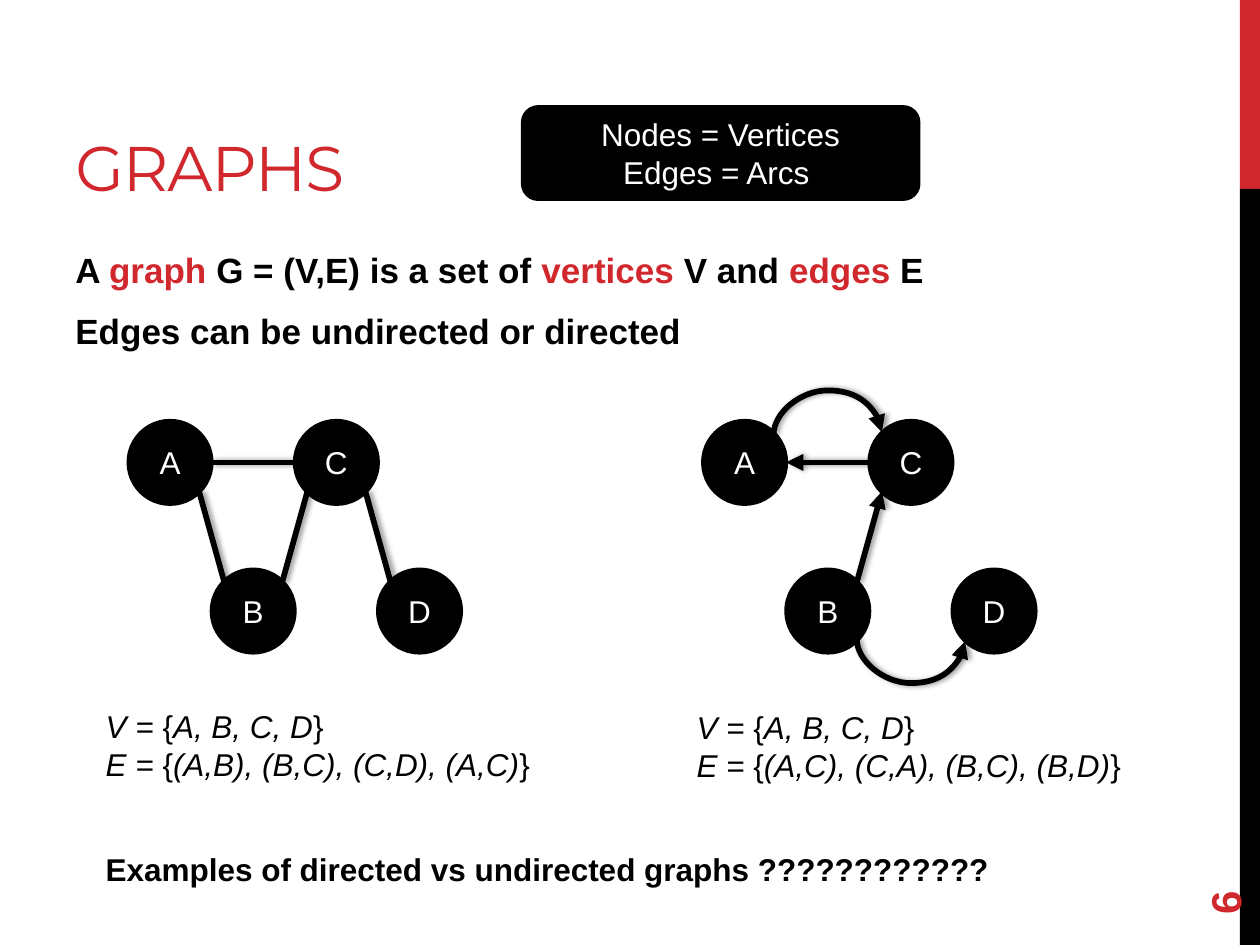
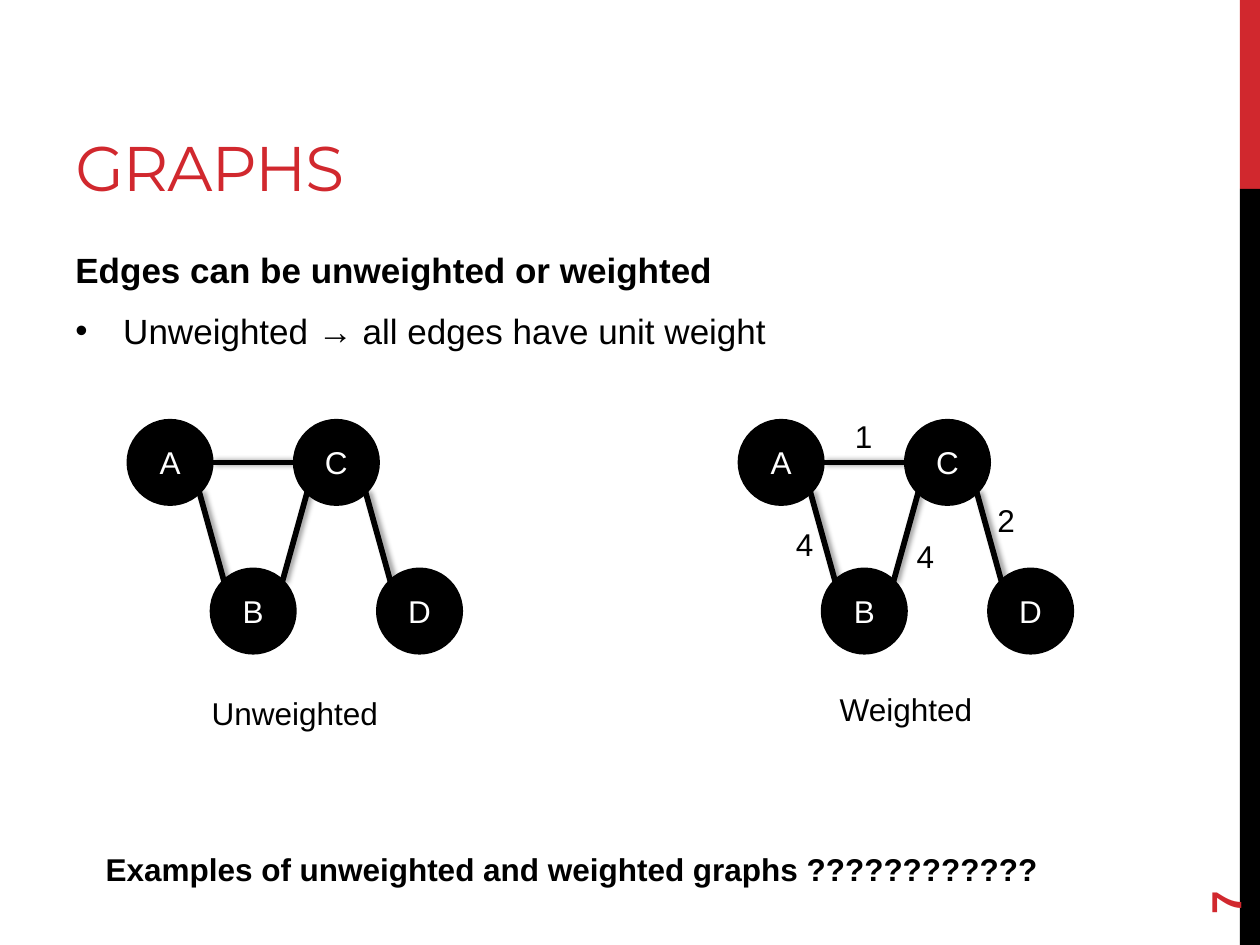
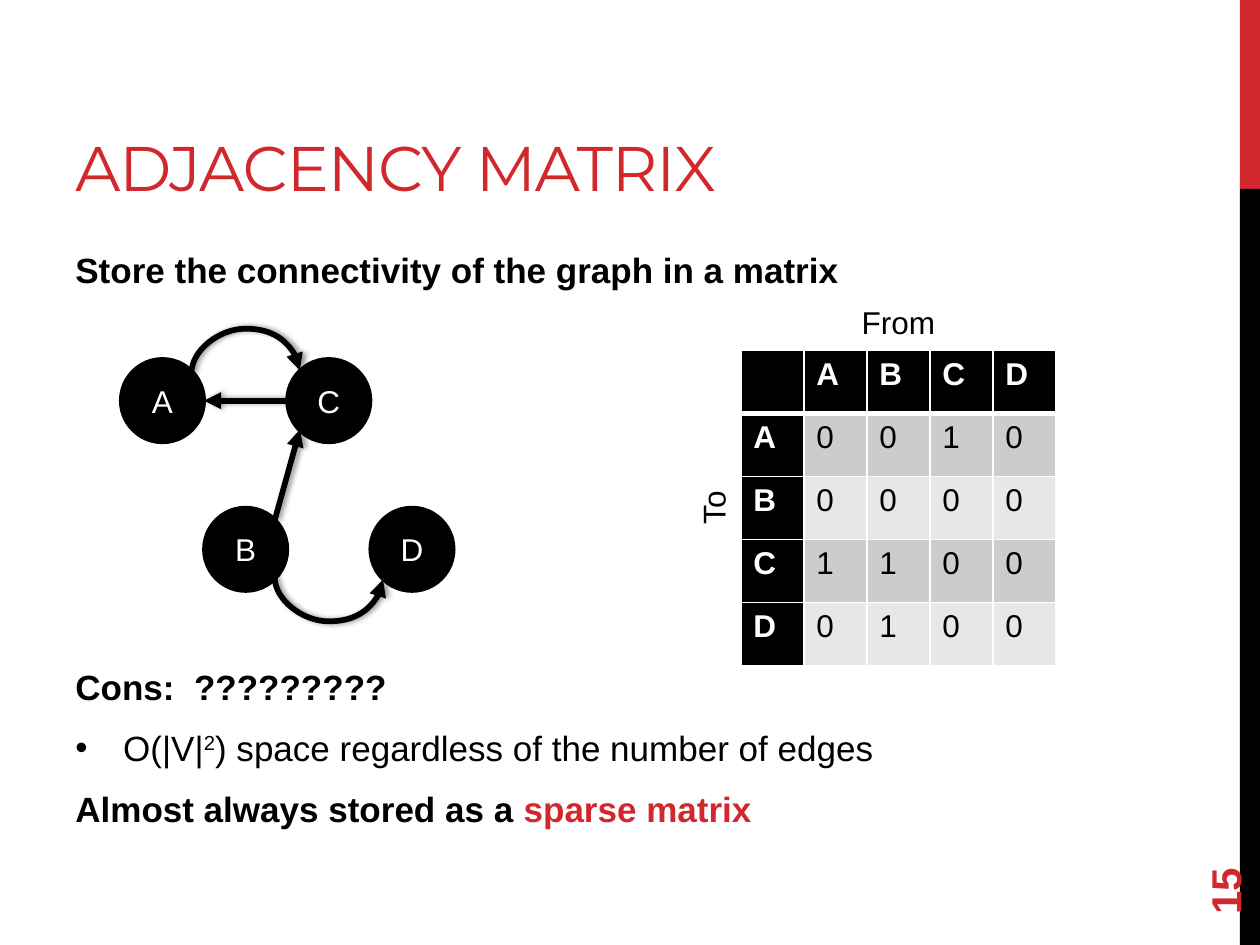
from dataclasses import dataclass
from typing import NamedTuple

from lxml import etree
from pptx import Presentation
from pptx.dml.color import RGBColor
from pptx.enum.shapes import MSO_CONNECTOR as CONNECTOR, MSO_SHAPE as SHAPE
from pptx.enum.text import MSO_ANCHOR as ANCHOR, PP_ALIGN as ALIGN
from pptx.oxml.ns import qn
from pptx.util import Inches, Pt

COLORS = {
    "red": "D1282E", "black": "000000", "white": "FFFFFF",
    "band_dark": "CCCCCC", "band_light": "E7E7E7",
}
BODY_FONT, TITLE_FONT = "Arial", "Montserrat"

# Graph geometry: all places are relative to the corner of node A
NODE = 0.66
NODE_PLACES = {"A": (0, 0), "C": (2 * NODE, 0), "B": (NODE, 1.18), "D": (3 * NODE, 1.18)}
NEAR, MIDDLE, FAR = 0.1, NODE / 2, NODE - 0.1
ANCHORS = {
    "left": (0, MIDDLE), "right": (NODE, MIDDLE),
    "top_left": (NEAR, NEAR), "top_right": (FAR, NEAR),
    "bottom_left": (NEAR, FAR), "bottom_right": (FAR, FAR),
}


class Run(NamedTuple):
    text: str
    color: str = "black"
    bold: bool = False
    italic: bool = False
    superscript: bool = False


class Edge(NamedTuple):
    start: str
    start_anchor: str
    end: str
    end_anchor: str
    arrow: bool = False
    bend: int = 0  # -1 bows upwards, 1 bows downwards


@dataclass
class Paragraph:
    runs: list[Run]
    bullet: bool = False


@dataclass
class TextStyle:
    size: float = 18
    font: str = BODY_FONT
    align: ALIGN = ALIGN.LEFT
    anchor: ANCHOR = ANCHOR.TOP
    before: float = 0
    after: float = 0
    tracking: int = 0
    side_margin: float = 0.1


LABEL = TextStyle()
CENTERED = TextStyle(align=ALIGN.CENTER)
TIGHT = TextStyle(align=ALIGN.CENTER, side_margin=0)
IN_SHAPE = TextStyle(align=ALIGN.CENTER, anchor=ANCHOR.MIDDLE)
TITLE = TextStyle(36, TITLE_FONT, anchor=ANCHOR.BOTTOM, tracking=-60)
BODY = TextStyle(20, before=5, after=6)
PAGE_NUMBER = TextStyle(24, anchor=ANCHOR.MIDDLE)

UNDIRECTED = [
    Edge("A", "right", "C", "left"),
    Edge("A", "bottom_right", "B", "top_left"),
    Edge("B", "top_right", "C", "bottom_left"),
    Edge("D", "top_left", "C", "bottom_right"),
]
DIRECTED = [
    Edge("A", "top_right", "C", "top_left", True, -1),
    Edge("B", "bottom_right", "D", "bottom_left", True, 1),
    Edge("C", "left", "A", "right", True),
    Edge("B", "top_right", "C", "bottom_left", True),
]


def rgb(name: str) -> RGBColor:
    return RGBColor.from_string(COLORS[name])


def child(parent, tag: str, **attributes):
    return etree.SubElement(parent, qn(tag), {key: str(value) for key, value in attributes.items()})


def plain(text: str, **options) -> Paragraph:
    return Paragraph([Run(text, **options)])


# Text
def write_run(paragraph, item: Run, style: TextStyle) -> None:
    run = paragraph.add_run()
    run.text = item.text
    font = run.font
    font.name, font.size = style.font, Pt(style.size)
    font.bold, font.italic = item.bold, item.italic
    font.color.rgb = rgb(item.color)
    if style.tracking:
        font._element.set("spc", str(style.tracking))
    if item.superscript:
        font._element.set("baseline", "30000")


def write(frame, paragraphs: list[Paragraph], style: TextStyle) -> None:
    frame.word_wrap = True
    frame.vertical_anchor = style.anchor
    frame.margin_left = frame.margin_right = Inches(style.side_margin)
    for index, item in enumerate(paragraphs):
        paragraph = frame.add_paragraph() if index else frame.paragraphs[0]
        if item.bullet:
            properties = paragraph._p.get_or_add_pPr()
            properties.set("marL", str(Inches(0.38)))
            properties.set("indent", str(Inches(-0.38)))
            child(properties, "a:buFont", typeface=BODY_FONT)
            child(properties, "a:buChar", char="•")
        paragraph.alignment = style.align
        paragraph.space_before = Pt(style.before if index else 0)
        paragraph.space_after = Pt(style.after)
        for run in item.runs:
            write_run(paragraph, run, style)


def add_text(slide, left: float, top: float, width: float, height: float,
             paragraphs: list[Paragraph], style: TextStyle = LABEL, rotation: float = 0) -> None:
    box = slide.shapes.add_textbox(Inches(left), Inches(top), Inches(width), Inches(height))
    box.rotation = rotation
    write(box.text_frame, paragraphs, style)


def add_block(slide, kind: SHAPE, left: float, top: float, width: float, height: float,
              color: str = "black", lines: tuple[str, ...] = ()) -> None:
    shape = slide.shapes.add_shape(kind, Inches(left), Inches(top), Inches(width), Inches(height))
    shape.shadow.inherit = False
    shape.fill.solid()
    shape.fill.fore_color.rgb = rgb(color)
    if lines:
        shape.line.color.rgb = rgb(color)
        shape.line.width = Pt(2.25)
        write(shape.text_frame, [plain(line, color="white") for line in lines], IN_SHAPE)
    else:
        shape.line.fill.background()


# Graphs
def style_edge(connector, arrow: bool) -> None:
    connector.line.color.rgb = rgb("black")
    connector.line.width = Pt(3.25)
    if arrow:
        child(connector.line._get_or_add_ln(), "a:tailEnd", type="triangle")
    effects = child(connector._element.spPr, "a:effectLst")
    shadow = child(effects, "a:outerShdw", blurRad=Pt(3.1), dist=Pt(1.8), dir=0, rotWithShape=0)
    color = child(shadow, "a:srgbClr", val=COLORS["black"])
    child(color, "a:alpha", val=40000)


def add_curve(slide, start: tuple[float, float], end: tuple[float, float], bend: int):
    """Bow between two level points: a narrow upright curve, turned by a quarter."""
    center_x, center_y = (start[0] + end[0]) / 2, start[1]
    half_width, half_height = 0.01, (end[0] - start[0]) / 2
    connector = slide.shapes.add_connector(
        CONNECTOR.CURVE,
        Inches(center_x + half_width), Inches(center_y - bend * half_height),
        Inches(center_x - half_width), Inches(center_y + bend * half_height))
    properties = connector._element.spPr
    properties.find(qn("a:xfrm")).set("rot", str((90 if bend < 0 else 270) * 60000))
    geometry = properties.find(qn("a:prstGeom"))
    guides = geometry.find(qn("a:avLst"))
    if guides is None:
        guides = child(geometry, "a:avLst")
    child(guides, "a:gd", name="adj1", fmla="val 1750000")
    return connector


def add_graph(slide, left: float, top: float, edges: list[Edge]) -> None:
    def point(node: str, anchor: str) -> tuple[float, float]:
        (x, y), (dx, dy) = NODE_PLACES[node], ANCHORS[anchor]
        return left + x + dx, top + y + dy

    for name, (x, y) in NODE_PLACES.items():
        add_block(slide, SHAPE.OVAL, left + x, top + y, NODE, NODE, lines=(name,))
    for edge in edges:
        start = point(edge.start, edge.start_anchor)
        end = point(edge.end, edge.end_anchor)
        if edge.bend:
            connector = add_curve(slide, start, end, edge.bend)
        else:
            connector = slide.shapes.add_connector(
                CONNECTOR.STRAIGHT, *(Inches(value) for value in start + end))
        style_edge(connector, edge.arrow)


def set_notation(edges: str) -> list[Paragraph]:
    return [
        Paragraph([Run(f"{name} = ", italic=True), Run("{"), Run(members, italic=True), Run("}")])
        for name, members in (("V", "A, B, C, D"), ("E", edges))
    ]


# Matrix
def style_cell(cell, row: int, column: int, text: str) -> None:
    properties = cell._tc.get_or_add_tcPr()
    thick_side = {0: "B", 1: "T"}.get(row)
    for side in "LRTB":
        line = child(properties, f"a:ln{side}", w=Pt(3 if side == thick_side else 1))
        child(child(line, "a:solidFill"), "a:srgbClr", val=COLORS["white"])
    heading = row == 0 or column == 0
    cell.fill.solid()
    cell.fill.fore_color.rgb = rgb(
        "black" if heading else "band_dark" if row % 2 else "band_light")
    if text:
        write_run(cell.text_frame.paragraphs[0],
                  Run(text, "white" if heading else "black", bold=heading), LABEL)


def add_matrix(slide, left: float, top: float, names: str, values: list[str]) -> None:
    rows = [["", *names]] + [[name, *line] for name, line in zip(names, values)]
    count, side = len(rows), Inches(0.5)
    table = slide.shapes.add_table(
        count, count, Inches(left), Inches(top), side * count, side * count).table
    for index in range(count):
        table.columns[index].width = table.rows[index].height = side
    for row, texts in enumerate(rows):
        for column, text in enumerate(texts):
            style_cell(table.cell(row, column), row, column, text)


# Slides
def add_slide(presentation, title: str, number: int, body: list[Paragraph]):
    slide = presentation.slides.add_slide(presentation.slide_layouts[6])
    add_block(slide, SHAPE.RECTANGLE, 9.84, 0, 0.16, 1.5, "red")
    add_block(slide, SHAPE.RECTANGLE, 9.84, 1.5, 0.16, 6)
    add_text(slide, 0.5, 0.17, 6.33, 1.5, [plain(title, color="red")], TITLE)
    add_text(slide, 0.5, 1.92, 8.33, 1, body, BODY)
    add_text(slide, 9, 6.44, 1.44, 0.4, [plain(str(number), color="red", bold=True)],
             PAGE_NUMBER, 270)
    return slide


def add_question(slide, text: str) -> None:
    add_text(slide, 0.74, 6.7, 8.1, 0.4, [plain(text, bold=True)])


def build_direction_slide(presentation) -> None:
    definition = Paragraph([
        Run("A ", bold=True), Run("graph", "red", True),
        Run(" G = (V,E) is a set of ", bold=True), Run("vertices", "red", True),
        Run(" V and ", bold=True), Run("edges", "red", True), Run(" E", bold=True),
    ])
    slide = add_slide(presentation, "GRAPHS", 6, [
        definition, plain("Edges can be undirected or directed", bold=True)])
    add_graph(slide, 1.02, 3.34, UNDIRECTED)
    add_text(slide, 0.74, 5.56, 5.2, 0.71, set_notation("(A,B), (B,C), (C,D), (A,C)"))
    add_graph(slide, 5.58, 3.34, DIRECTED)
    add_text(slide, 5.43, 5.57, 5.2, 0.71, set_notation("(A,C), (C,A), (B,C), (B,D)"))
    add_question(slide, "Examples of directed vs undirected graphs ????????????")
    add_block(slide, SHAPE.ROUNDED_RECTANGLE, 4.15, 0.85, 3.14, 0.73,
              lines=("Nodes = Vertices", "Edges = Arcs "))


def build_weight_slide(presentation) -> None:
    slide = add_slide(presentation, "GRAPHS", 7, [
        plain("Edges can be unweighted or weighted", bold=True),
        Paragraph([Run("Unweighted → all edges have unit weight")], bullet=True)])
    for left, caption_top, caption in ((1.02, 5.46, "Unweighted"), (5.87, 5.43, "Weighted")):
        add_graph(slide, left, 3.34, UNDIRECTED)
        add_text(slide, left, caption_top, 2.64, 0.4, [plain(caption)], CENTERED)
    for weight, left, top in (("1", 6.71, 3.26), ("2", 7.84, 3.93),
                              ("4", 7.2, 4.21), ("4", 6.24, 4.12)):
        add_text(slide, left, top, 0.29, 0.4, [plain(weight)], TIGHT)
    add_question(slide, "Examples of unweighted and weighted graphs ????????????")


def build_matrix_slide(presentation) -> None:
    slide = add_slide(presentation, "ADJACENCY MATRIX", 15, [
        plain("Store the connectivity of the graph in a matrix", bold=True)])
    add_text(slide, 0.5, 5.23, 8.33, 1.47, [
        plain("Cons:  ?????????", bold=True),
        Paragraph([Run("O(|V|"), Run("2", superscript=True),
                   Run(") space regardless of the number of edges")], bullet=True),
        Paragraph([Run("Almost always stored as a ", bold=True),
                   Run("sparse matrix", "red", True)]),
    ], BODY)
    add_graph(slide, 0.96, 2.85, DIRECTED)
    add_matrix(slide, 5.88, 2.78, "ABCD", ["0010", "0000", "1100", "0100"])
    add_text(slide, 5.88, 2.36, 2.5, 0.4, [plain("From")], CENTERED)
    add_text(slide, 4.41, 3.83, 2.5, 0.4, [plain("To")], CENTERED, 270)


def main() -> None:
    presentation = Presentation()
    presentation.slide_width, presentation.slide_height = Inches(10), Inches(7.5)
    build_direction_slide(presentation)
    build_weight_slide(presentation)
    build_matrix_slide(presentation)
    presentation.save("out.pptx")


if __name__ == "__main__":
    main()
